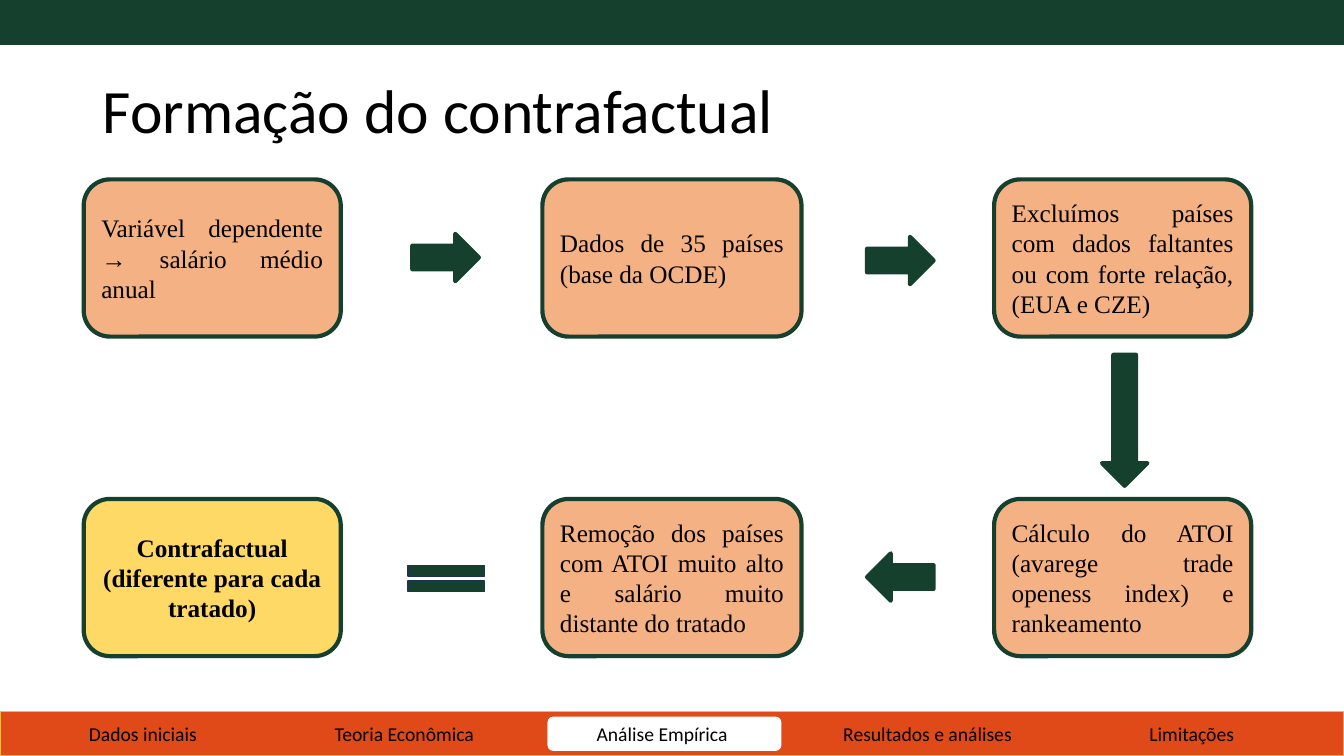
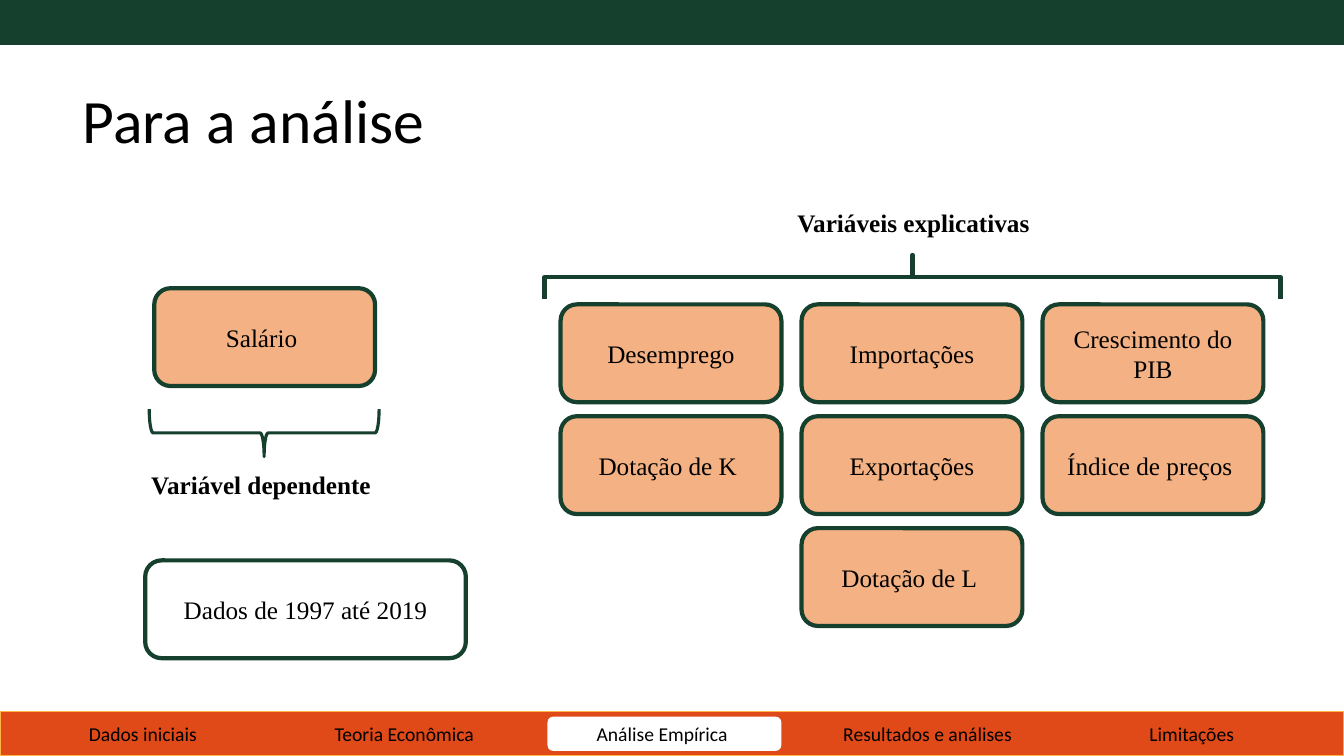
import pptx
import pptx.util
import pptx.dml.color
import pptx.enum.shapes
import pptx.enum.text

RGB = pptx.dml.color.RGBColor
KIND = pptx.enum.shapes.MSO_SHAPE
ALIGN = pptx.enum.text.PP_ALIGN
ANCHOR = pptx.enum.text.MSO_ANCHOR
FIT = pptx.enum.text.MSO_AUTO_SIZE

SCALE = 9144
WIDE, HIGH = 1333, 750
BAND = 44

GREEN = RGB(0x16, 0x40, 0x2E)
ORANGE = RGB(0xE0, 0x49, 0x18)
GOLD = RGB(0xFE, 0xB5, 0x44)
PEACH = RGB(0xF4, 0xB1, 0x83)
YELLOW = RGB(0xFF, 0xD9, 0x66)
NAVY = RGB(0x1E, 0x32, 0x56)
WHITE = RGB(0xFF, 0xFF, 0xFF)
BLACK = RGB(0, 0, 0)

SANS, SERIF = "Calibri", "Times New Roman"
TABS = [
    (28, "Dados iniciais "),
    (285, "Teoria Econômica"),
    (543, "Análise Empírica "),
    (804, "Resultados e análises"),
    (1066, "Limitações"),
]
ACTIVE = 2


def emu(box):
    return [pptx.util.Emu(round(n * SCALE)) for n in box]


def write(frame, text, size, face, align, bold=False):
    frame.word_wrap = True
    frame.text = text
    for para in frame.paragraphs:
        para.alignment = align
        for run in para.runs:
            font = run.font
            font.size = pptx.util.Pt(size)
            font.name = face
            font.bold = bold
            font.color.rgb = BLACK


def draw(slide, kind, box, fill=None, line=None, width=3):
    shape = slide.shapes.add_shape(kind, *emu(box))
    shape.shadow.inherit = False
    if fill is None:
        shape.fill.background()
    else:
        shape.fill.solid()
        shape.fill.fore_color.rgb = fill
    if line is None:
        shape.line.fill.background()
    else:
        shape.line.color.rgb = line
        shape.line.width = pptx.util.Pt(width)
    return shape


def card(slide, box, text, fill=PEACH, align=ALIGN.CENTER, bold=False):
    shape = draw(slide, KIND.ROUNDED_RECTANGLE, box, fill, GREEN)
    shape.text_frame.vertical_anchor = ANCHOR.MIDDLE
    write(shape.text_frame, text, 18, SERIF, align, bold)


def label(slide, box, text):
    shape = slide.shapes.add_textbox(*emu(box))
    write(shape.text_frame, text, 18, SERIF, ALIGN.CENTER, True)


def brace(slide, box, angle, width):
    left, top, wide, high = box
    shift = (wide - high) / 2
    shape = draw(slide, KIND.LEFT_BRACE,
                 (left + shift, top - shift, high, wide), None, GREEN, width)
    shape.rotation = angle
    return shape


def footer(slide, box):
    left, top, wide, high = box
    draw(slide, KIND.RECTANGLE, box, ORANGE, GOLD, 1)
    for i, (x, text) in enumerate(TABS):
        fill = WHITE if i == ACTIVE else ORANGE
        tab = draw(slide, KIND.ROUNDED_RECTANGLE,
                   (left + x, top + 5, 232, high - 10), fill)
        tab.text_frame.vertical_anchor = ANCHOR.MIDDLE
        write(tab.text_frame, text, 14, SANS, ALIGN.CENTER)


def start(deck, text, box, anchor):
    slide = deck.slides.add_slide(deck.slide_layouts[5])
    title = slide.shapes.title
    title.left, title.top, title.width, title.height = emu(box)
    frame = title.text_frame
    frame.auto_size = FIT.NONE
    frame.vertical_anchor = anchor
    write(frame, text, 44, SANS, ALIGN.LEFT)
    frame.paragraphs[0].line_spacing = 0.9
    draw(slide, KIND.RECTANGLE, (0, 0, WIDE, BAND), GREEN, GREEN, 1)
    footer(slide, (0, HIGH - BAND, WIDE, BAND))
    return slide


def flow(slide, box):
    left, top, wide, high = box
    tall = 156
    low = top + high - tall
    cols = [(left, 255), (left + 455, 257), (left + wide - 255, 255)]
    rows = [
        (top, ["Variável dependente → salário médio anual",
               "Dados de 35 países (base da OCDE)",
               "Excluímos países com dados faltantes ou com forte relação, "
               "(EUA e CZE) "]),
        (low, ["Contrafactual\n(diferente para cada tratado)",
               "Remoção dos países com ATOI muito alto e salário muito "
               "distante do tratado ",
               "Cálculo do ATOI (avarege trade openess index) e "
               "rankeamento "]),
    ]
    for y, texts in rows:
        for (x, w), text in zip(cols, texts):
            spot = (x, y, w, tall)
            if "\n" in text:
                card(slide, spot, text, YELLOW, bold=True)
            else:
                card(slide, spot, text, align=ALIGN.JUSTIFY)
    arrows = [
        (KIND.RIGHT_ARROW, 326, 54, 66, 47),
        (KIND.RIGHT_ARROW, 777, 57, 66, 47),
        (KIND.DOWN_ARROW, 1010, 174, 45, 130),
        (KIND.LEFT_ARROW, 777, 371, 66, 47),
    ]
    for kind, x, y, w, h in arrows:
        draw(slide, kind, (left + x, top + y, w, h), GREEN, GREEN)
    draw(slide, KIND.MATH_EQUAL, (left + 308, top + 374, 103, 44),
         GREEN, NAVY, 1)


def target(slide, box):
    left, top, wide, high = box
    card(slide, (left + 19, top, 219, 97), "Salário ")
    brace(slide, (left + 14, top + 120, 228, 47), 270, 2.25)
    label(slide, (left, top + 175, wide, 40), "Variável dependente ")
    card(slide, (left + 10, top + high - 97, 318, 97),
         "Dados de 1997 até 2019", WHITE)


def factors(slide, box):
    left, top, wide, high = box
    label(slide, (left + 238, top, 256, 40), "Variáveis explicativas ")
    span = brace(slide, (left, top + 52, wide, 44), 90, 3)
    span.adjustments[0] = 0
    span.adjustments[1] = 0.5
    grid = [
        ["Desemprego", "Importações", "Crescimento do PIB"],
        ["Dotação de K ", "Exportações", "Índice de preços "],
        [None, "Dotação de L ", None],
    ]
    for r, row in enumerate(grid):
        for c, text in enumerate(row):
            if text:
                card(slide, (left + 16 + 239 * c, top + 101 + 111 * r,
                             219, 97), text)


def main():
    deck = pptx.Presentation()
    deck.slide_width, deck.slide_height = emu((WIDE, HIGH))
    slide = start(deck, "Formação do contrafactual",
                  (92, 40, 1150, 145), ANCHOR.MIDDLE)
    flow(slide, (83, 178, 1158, 473))
    slide = start(deck, "Para a análise", (72, 85, 848, 153), ANCHOR.TOP)
    target(slide, (134, 286, 256, 367))
    factors(slide, (540, 201, 730, 420))
    deck.save("out.pptx")


if __name__ == "__main__":
    main()
